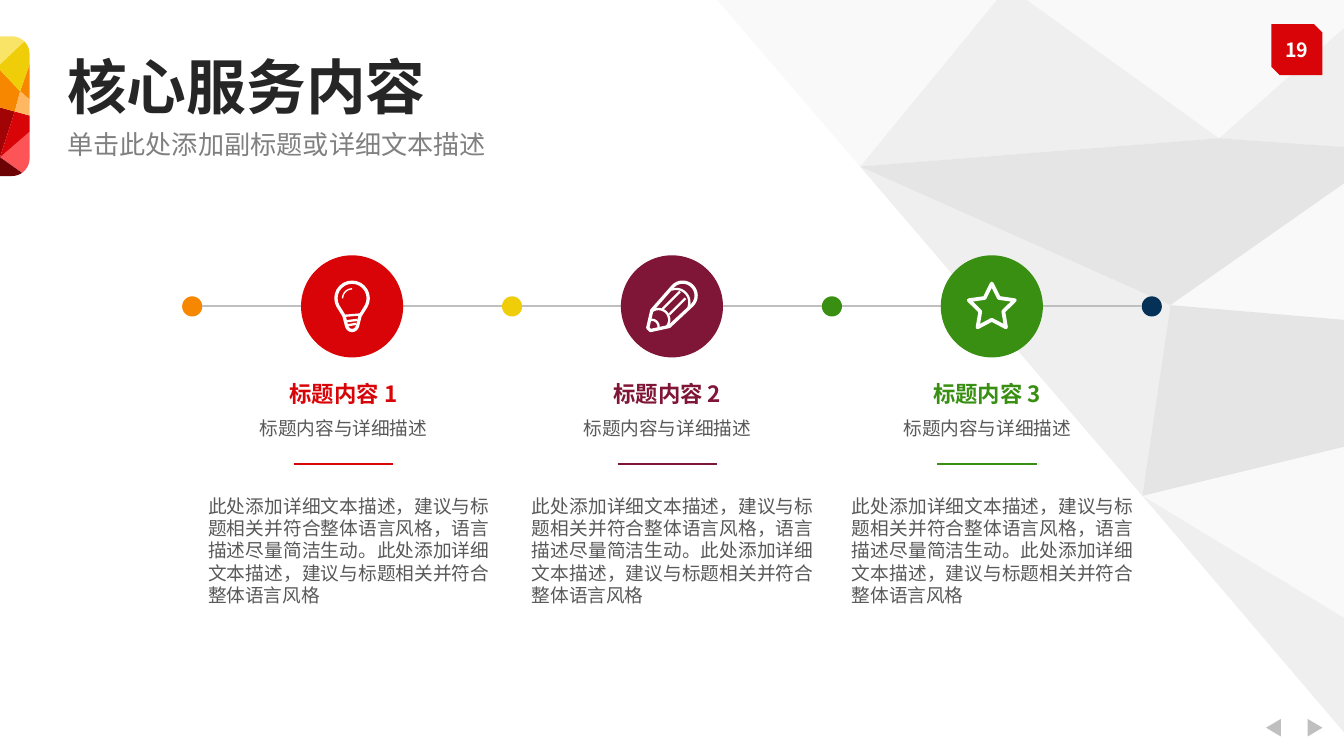
from math import cos, radians, sin

from lxml import etree
from pptx import Presentation
from pptx.dml.color import RGBColor
from pptx.enum.shapes import MSO_CONNECTOR, MSO_SHAPE
from pptx.enum.text import MSO_ANCHOR, PP_ALIGN
from pptx.oxml.ns import qn
from pptx.util import Inches, Pt

FONT = "Noto Sans CJK SC"
C = {
    "white": "FFFFFF", "pale": "F2F2F2", "light": "D9D9D9", "mid": "BFBFBF",
    "title": "262626", "subtitle": "808080", "body": "595959",
    "red": "D80407", "dark_red": "A20305", "maroon": "6C0204", "coral": "FC5457",
    "orange": "F88700", "peach": "FFB762", "yellow": "EFCD09", "lemon": "F9E468",
    "plum": "801637", "green": "388F12", "navy": "063157",
}
BODY = ("此处添加详细文本描述，建议与标题相关并符合整体语言风格，语言描述尽量简洁生动。"
        "此处添加详细文本描述，建议与标题相关并符合整体语言风格")


def rgb(name):
    return RGBColor.from_string(C[name])


def write(sp, text, size=10, color="body", bold=False, align=PP_ALIGN.LEFT,
          pitch=1.2, margins=(0.1, 0.05), wrap=True):
    tf = sp.text_frame
    tf.word_wrap = wrap
    tf.vertical_anchor = MSO_ANCHOR.TOP
    tf.margin_left = tf.margin_right = Inches(margins[0])
    tf.margin_top = tf.margin_bottom = Inches(margins[1])
    p = tf.paragraphs[0]
    p.alignment = align
    p.space_before = Pt(0)
    p.line_spacing = Pt(size * pitch)
    r = p.add_run()
    r.text = text
    f = r.font
    f.name, f.size, f.bold = FONT, Pt(size), bold
    f.color.rgb = rgb(color)
    ea = etree.SubElement(r._r.get_or_add_rPr(), qn("a:ea"))
    ea.set("typeface", FONT)


def add_text(s, box, text, **fmt):
    write(s.shapes.add_textbox(*map(Inches, box)), text, **fmt)


def add_preset(s, kind, box, color):
    sp = s.shapes.add_shape(kind, *map(Inches, box))
    sp.shadow.inherit = False
    sp.fill.solid()
    sp.fill.fore_color.rgb = rgb(color)
    sp.line.fill.background()


def add_dot(s, x, y, d, color):
    add_preset(s, MSO_SHAPE.OVAL, (x - d / 2, y - d / 2, d, d), color)


def add_line(s, x1, x2, y, color):
    ln = s.shapes.add_connector(MSO_CONNECTOR.STRAIGHT,
                                *map(Inches, (x1, y, x2, y)))
    ln.line.color.rgb = rgb(color)
    ln.line.width = Pt(1)
    etree.SubElement(ln._element.spPr, qn("a:effectLst"))


def add_path(s, points, closed=True):
    pts = [(Inches(x), Inches(y)) for x, y in points]
    fb = s.shapes.build_freeform(*pts[0], scale=1.0)
    fb.add_line_segments(pts[1:], close=closed)
    sp = fb.convert_to_shape()
    sp.shadow.inherit = False
    return sp


def add_facet(s, color, points, alpha=None):
    sp = add_path(s, points)
    sp.fill.solid()
    sp.fill.fore_color.rgb = rgb(color)
    sp.line.fill.background()
    if alpha:
        clr = sp._element.spPr.find(qn("a:solidFill"))[0]
        etree.SubElement(clr, qn("a:alpha")).set("val", str(alpha * 1000))


def add_stroke(s, x, y, points, closed=False, width=1.75):
    sp = add_path(s, [(x + dx, y + dy) for dx, dy in points], closed)
    sp.fill.background()
    sp.line.color.rgb = rgb("white")
    sp.line.width = Pt(width)
    etree.SubElement(sp.line._get_or_add_ln(), qn("a:round"))


def arc(x, y, r, start, end, n=16):
    angles = [radians(start + (end - start) * i / n) for i in range(n + 1)]
    return [(x + r * cos(a), y + r * sin(a)) for a in angles]


# Icons, drawn around the centre of their circle
def bulb(s, x, y):
    glass = arc(0, -0.06, 0.12, 150, 390)
    base = [(0.06, 0.07), (0.04, 0.15)] + arc(0, 0.14, 0.04, 20, 160, 6)
    add_stroke(s, x, y, glass + base + [(-0.04, 0.15), (-0.06, 0.07)], True)
    add_stroke(s, x, y, arc(0, -0.06, 0.07, 180, 270), width=0.75)
    for dy, half in ((0.07, 0.06), (0.11, 0.04), (0.14, 0.03)):
        add_stroke(s, x, y, [(-half, dy), (half, dy - 0.01)], width=1.25)


def pencil(s, x, y):
    outline = [(-0.18, 0.16), (-0.15, 0.03)] + arc(0.08, -0.08, 0.1, -135, 45)
    add_stroke(s, x, y, outline + [(-0.02, 0.15), (-0.16, 0.18)], True)
    for part in (arc(0.03, -0.03, 0.1, -110, 20),
                 arc(-0.1, 0.1, 0.08, -130, 40),
                 arc(-0.15, 0.15, 0.05, -100, 10),
                 [(-0.07, 0.02), (0.06, -0.11)],
                 [(-0.02, 0.06), (0.1, -0.06)]):
        add_stroke(s, x, y, part, width=1.25)


def star(s, x, y):
    points = []
    for i in range(10):
        a, r = radians(36 * i - 90), 0.09 if i % 2 else 0.18
        points.append((r * cos(a), 0.01 + r * sin(a)))
    add_stroke(s, x, y, points, True, 2)


# Faceted background at the right
def background(s):
    a, b, c, d = (9.07, 1.03), (6.4, 1.24), (8.71, 2.27), (8.5, 3.69)
    top_l, top, top_r = (5.25, -0.1), (7.5, -0.1), (10.35, -0.1)
    r1, r2, r3, r4, r5 = [(10.35, y) for y in (1.12, 2.41, 3.24, 4.81, 5.86)]
    for color, points in (
            ("pale", (a, top, top_r)), ("light", (a, top_r, r1)),
            ("light", (top, a, b)), ("mid", (b, a, r1, c)),
            ("light", (b, c, d)), ("pale", (c, r1, r2)),
            ("mid", (c, r2, r3, d)), ("pale", (d, r3, r4)),
            ("light", (d, r4, r5)), ("pale", (top, b, top_l))):
        add_facet(s, color, points, alpha=40)


# Faceted tab at the left edge
def accent(s, x, y, w, h):
    radius = 0.13
    low = arc(w - radius, h - radius, radius, 0, 55, 6)
    foot = arc(w - radius, h - radius, radius, 55, 90, 4)
    head = arc(w - radius, radius, radius, -90, -45, 4)
    side = arc(w - radius, radius, radius, 0, -45, 4)
    a, b, c = (0.11, 0.56), (0.15, 0.41), (0, 0.9)
    for color, points in (
            ("coral", [(w, 0.71), c] + low[::-1]),
            ("dark_red", [a, (0, 0.53), c]),
            ("red", [a, c, (w, 0.71), (w, 0.59)]),
            ("maroon", [c] + foot + [(0, h)]),
            ("lemon", [(0, 0.21), (0, 0)] + head),
            ("orange", [(w, 0.21), b, (w, 0.47)]),
            ("orange", [a, b, (0, 0.25), (0, 0.53)]),
            ("yellow", [(0, 0.25), b, (w, 0.21)] + side + [(0, 0.21)]),
            ("peach", [(w, 0.47), b, a, (w, 0.59)])):
        add_facet(s, color, [(x + dx, y + dy) for dx, dy in points])


def header(s, x, y, w):
    t = s.shapes.title
    t.left, t.top, t.width, t.height = map(Inches, (x, y, w, 0.44))
    write(t, "核心服务内容", size=32, color="title", bold=True,
          pitch=1.06, margins=(0, 0))
    add_text(s, (x, y + 0.55, w, 0.19), "单击此处添加副标题或详细文本描述", size=14,
             color="subtitle", pitch=1.07, margins=(0, 0))


def page_badge(s, x, y, d):
    add_preset(s, MSO_SHAPE.SNIP_2_DIAG_RECTANGLE, (x, y, d, d), "red")
    add_text(s, (x, y + 0.05, d, 0.28), "19", size=10.5, color="white",
             bold=True, align=PP_ALIGN.CENTER, wrap=False)


def nav_arrows(s, x, y, w, h):
    for base, tip in ((x + 0.11, x), (x + w - 0.11, x + w)):
        add_facet(s, "mid", [(base, y), (tip, y + h / 2), (base, y + h)])


def timeline(s, x, y, step, services):
    dot, circle = 0.15, 0.76
    for i, color in enumerate(("orange", "yellow", "green", "navy")):
        add_dot(s, x + i * step, y, dot, color)
    for i, (color, icon) in enumerate(services):
        left, mid = x + i * step, x + (i + 0.5) * step
        add_line(s, left + dot / 2, mid - circle / 2, y, "mid")
        add_line(s, mid + circle / 2, left + step - dot / 2, y, "mid")
        add_dot(s, mid, y, circle, color)
        icon(s, mid, y)


def service_text(s, x, y, w, number, color):
    mid = x + w / 2 - 0.04
    center = PP_ALIGN.CENTER
    add_text(s, (mid - 0.53, y, 1.06, 0.3), f"标题内容 {number}", size=12,
             color=color, bold=True, align=center)
    add_text(s, (mid - 0.78, y + 0.27, 1.56, 0.27), "标题内容与详细描述", align=center)
    add_line(s, mid - 0.37, mid + 0.37, y + 0.67, color)
    add_text(s, (x, y + 0.85, w, 0.94), BODY, align=PP_ALIGN.JUSTIFY)


def main():
    prs = Presentation()
    prs.slide_width = Inches(10)
    prs.slide_height = Inches(10 * 9 / 16)
    s = prs.slides.add_slide(prs.slide_layouts[5])
    background(s)
    nav_arrows(s, 9.42, 5.35, 0.42, 0.13)
    page_badge(s, 9.46, 0.18, 0.38)
    services = (("red", bulb), ("plum", pencil), ("green", star))
    timeline(s, 1.43, 2.28, 2.38, services)
    for i, (x, (color, _)) in enumerate(zip((1.45, 3.86, 6.24), services), 1):
        service_text(s, x, 2.78, 2.29, i, color)
    header(s, 0.5, 0.43, 5.25)
    accent(s, 0, 0.27, 0.22, 1.04)
    prs.save("out.pptx")


if __name__ == "__main__":
    main()
